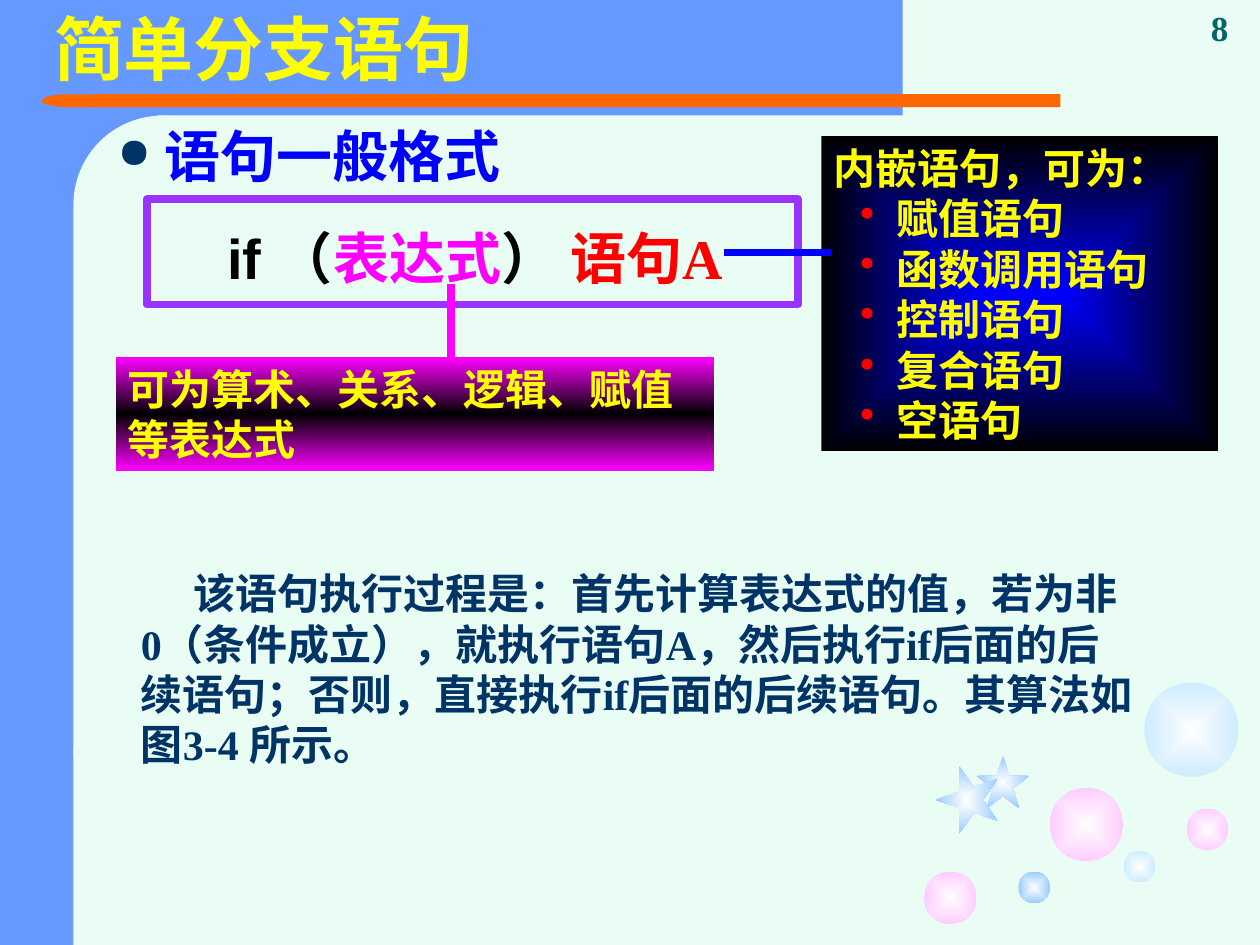
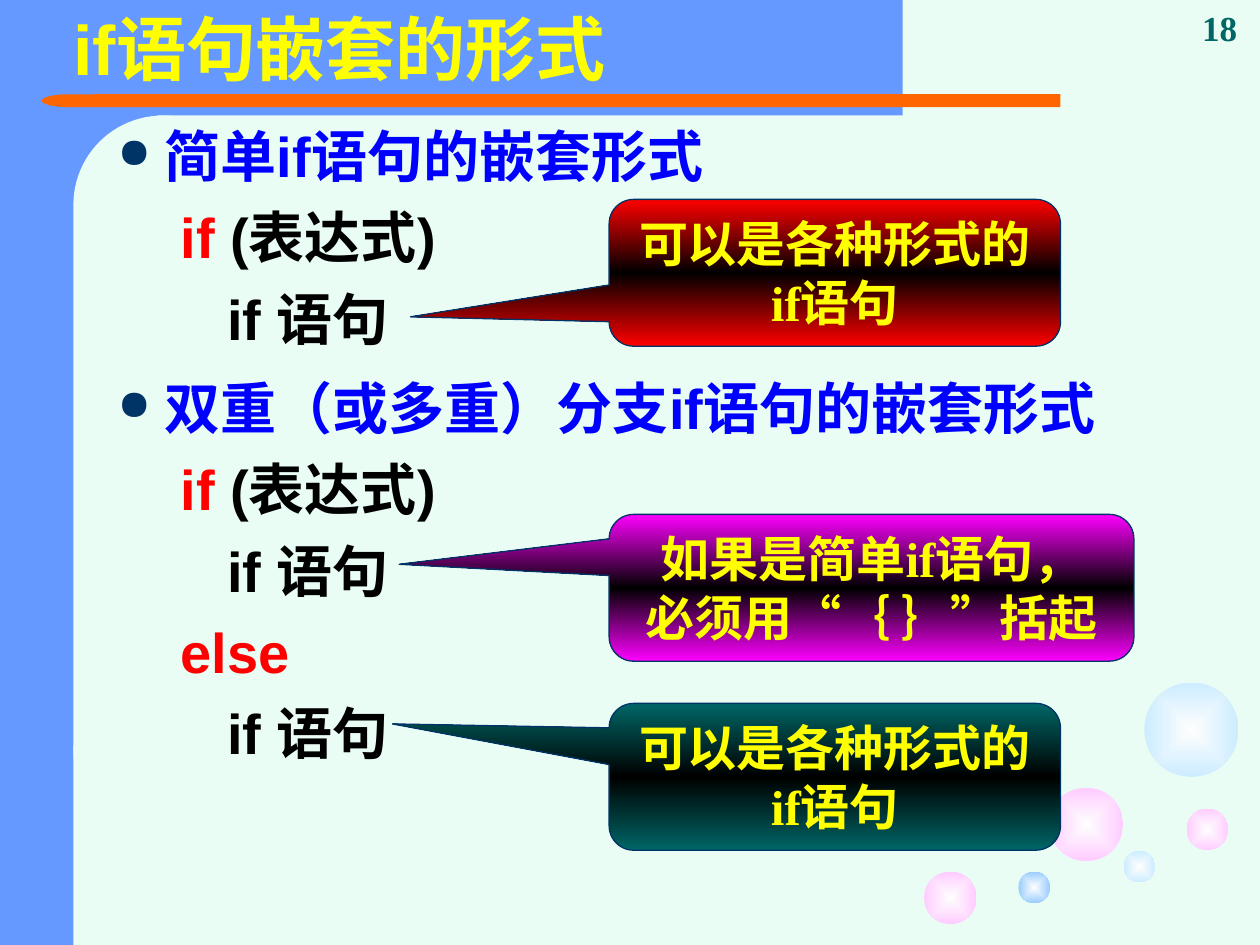
from dataclasses import dataclass

from pptx import Presentation
from pptx.dml.color import RGBColor
from pptx.enum.shapes import MSO_CONNECTOR, MSO_SHAPE as SHAPE
from pptx.enum.text import MSO_ANCHOR as ANCHOR, PP_ALIGN as ALIGN
from pptx.oxml import parse_xml
from pptx.oxml.ns import nsdecls, qn
from pptx.util import Cm, Pt


@dataclass(frozen=True)
class Theme:
    paper: str = "E9FDF4"
    band: str = "6699FF"
    rule: str = "FF6600"
    ink: str = "003366"
    teal: str = "006666"
    yellow: str = "FFFF00"
    blue: str = "0000FF"
    red: str = "FF0000"
    magenta: str = "FF00FF"
    purple: str = "9933FF"
    black: str = "000000"
    glow: str = "FEFEFE"
    pink: str = "FFCCFF"
    pale: str = "CCECFF"
    sky: str = "99CCFF"
    sans: str = "Arial"
    serif: str = "Times New Roman"
    title: int = 40
    body: int = 32
    callout: int = 28
    note: int = 24
    number: int = 20
    thick: float = 4.5
    thin: float = 0.75


T = Theme()

BUBBLES = [  # left, top, diameter, colour
    (21.16, 15.88, 1.48, T.pink),
    (18.63, 17.57, 1.06, T.pink),
    (22.65, 17.15, 0.64, T.pale),
    (23.92, 16.3, 0.84, T.pink),
    (23.07, 13.76, 1.9, T.pale),
    (20.53, 17.57, 0.64, T.sky),
]
STARS = [  # box, rotation
    ((19.69, 15.24, 1.06, 1.06), 0),
    ((18.8, 15.49, 1.37, 1.27), 270),
]


def rgb(color):
    return RGBColor.from_string(color)


def cm(box):
    return [Cm(v) for v in box]


def add_block(s, kind, box, fill=None, line=None, width=T.thin):
    sp = s.shapes.add_shape(kind, *cm(box))
    sp.shadow.inherit = False
    if fill:
        sp.fill.solid()
        sp.fill.fore_color.rgb = rgb(fill)
    else:
        sp.fill.background()
    if line:
        sp.line.color.rgb = rgb(line)
        sp.line.width = Pt(width)
    else:
        sp.line.fill.background()
    return sp


def set_gradient(sp, colors, radial=False):
    """Spread the colours evenly, from the centre outwards or from top to bottom."""
    step = 100000 // (len(colors) - 1)
    stops = "".join(
        f'<a:gs pos="{i * step}"><a:srgbClr val="{c}"/></a:gs>'
        for i, c in enumerate(colors))
    if radial:
        way = ('<a:path path="rect"><a:fillToRect l="50000" t="50000" '
               'r="50000" b="50000"/></a:path>')
    else:
        way = '<a:lin ang="5400000" scaled="1"/>'
    sp.fill.background()
    props = sp.element.spPr
    props.replace(props.find(qn("a:noFill")), parse_xml(
        f'<a:gradFill {nsdecls("a")} rotWithShape="1">'
        f'<a:gsLst>{stops}</a:gsLst>{way}</a:gradFill>'))


def add_link(s, start, end, color):
    line = s.shapes.add_connector(
        MSO_CONNECTOR.STRAIGHT, *cm(start), *cm(end))
    line.line.color.rgb = rgb(color)
    line.line.width = Pt(T.thick)
    line.element.spPr.append(parse_xml(f'<a:effectLst {nsdecls("a")}/>'))


def add_text_frame(s, box, anchor=ANCHOR.TOP):
    tf = s.shapes.add_textbox(*cm(box)).text_frame
    tf.word_wrap = True
    tf.vertical_anchor = anchor
    return tf


def next_paragraph(tf):
    first = tf.paragraphs[0]
    return tf.add_paragraph() if first.runs else first


def style_run(r, size, color, font):
    r.font.size = Pt(size)
    r.font.bold = True
    r.font.name = font
    r.font.color.rgb = rgb(color)


def write(tf, text, size, color, font=T.serif, align=ALIGN.LEFT):
    p = next_paragraph(tf)
    p.text = text
    p.alignment = align
    style_run(p.runs[0], size, color, font)
    return p


def set_indent(p, left, first=0):
    props = p._p.get_or_add_pPr()
    props.set("marL", str(Cm(left)))
    props.set("indent", str(Cm(first)))


def set_bullet(p, char, color, percent=100):
    props = p._p.get_or_add_pPr()
    for xml in (f'<a:buClr {nsdecls("a")}><a:srgbClr val="{color}"/></a:buClr>',
                f'<a:buSzPct {nsdecls("a")} val="{percent * 1000}"/>',
                f'<a:buChar {nsdecls("a")} char="{char}"/>'):
        props.append(parse_xml(xml))


def add_heading(tf, text):
    p = write(tf, text, T.body, T.blue, T.sans)
    p.space_before = Pt(8)
    set_indent(p, 0.95, -0.95)
    set_bullet(p, "●", T.ink, 75)


def add_code(tf, runs, nested=False, before=8, after=0):
    """Add a line of code from (text, colour[, font]) runs."""
    p = next_paragraph(tf)
    p.space_before, p.space_after = Pt(before), Pt(after)
    set_indent(p, 2.21 if nested else 1.27)
    for text, color, *font in runs:
        r = p.add_run()
        r.text = text
        style_run(r, T.body, color, *(font or [T.sans]))


def add_if_head(tf):
    add_code(tf, [("if ", T.red), ("(表达式)", T.black)])


def add_inner_if(tf):
    add_code(tf, [("if 语句", T.black)], nested=True)


def add_frame(s):
    add_block(s, SHAPE.RECTANGLE, (0, 0, 3.18, 19.05), T.band)
    add_block(s, SHAPE.RECTANGLE, (1.27, 0, 16.93, 2.33), T.band)
    corner = add_block(s, SHAPE.ROUNDED_RECTANGLE, (1.48, 2.33, 3.6, 14.6), T.paper)
    corner.adjustments[0] = 0.5
    add_block(s, SHAPE.RECTANGLE, (1.9, 1.9, 19.48, 0.26), T.rule)
    tip = add_block(s, SHAPE.FLOWCHART_DELAY, (0.84, 1.9, 1.09, 0.26), T.rule)
    tip.rotation = 180
    add_block(s, SHAPE.RECTANGLE, (1.48, 15.03, 3.6, 4.02), T.paper)


def add_bubbles(s):
    for x, y, d, color in BUBBLES:
        sp = add_block(s, SHAPE.OVAL, (x, y, d, d))
        set_gradient(sp, [T.glow, color], radial=True)
    for box, rotation in STARS:
        sp = add_block(s, SHAPE.STAR_5_POINT, box)
        sp.rotation = rotation
        set_gradient(sp, [T.glow, T.sky], radial=True)


def new_slide(prs, title, number, title_indent=0):
    s = prs.slides.add_slide(prs.slide_layouts[6])
    add_frame(s)
    add_bubbles(s)
    tf = add_text_frame(s, (0.84, 0, 21.38, 2.12), ANCHOR.MIDDLE)
    p = write(tf, title, T.title, T.yellow, T.sans)
    p.line_spacing = 0.9
    set_indent(p, title_indent)
    tf = add_text_frame(s, (23.77, 0, 1.63, 1.11), ANCHOR.BOTTOM)
    write(tf, str(number), T.number, T.teal, align=ALIGN.CENTER)
    return s


def add_panel(s, box):
    sp = add_block(s, SHAPE.RECTANGLE, box)
    tf = sp.text_frame
    tf.word_wrap = True
    tf.vertical_anchor = ANCHOR.TOP
    return sp, tf


def add_statement_note(s, box):
    x, y, _, _ = box
    sp, tf = add_panel(s, box)
    set_gradient(sp, [T.blue, T.black], radial=True)
    write(tf, "内嵌语句，可为：", T.note, T.yellow)
    for kind in ("赋值语句", "函数调用语句", "控制语句", "复合语句", "空语句"):
        p = write(tf, kind, T.note, T.yellow)
        set_indent(p, 1.27, -0.74)
        set_bullet(p, "•", T.red)
    add_link(s, (x - 1.96, y + 2.34), (x + 0.2, y + 2.34), T.blue)


def add_expression_note(s, box):
    x, y, w, _ = box
    sp, tf = add_panel(s, box)
    set_gradient(sp, [T.magenta, T.black, T.magenta])
    write(tf, "可为算术、关系、逻辑、赋值等表达式", T.note, T.yellow)
    link_x = x + 0.56 * w
    add_link(s, (link_x, y - 1.48), (link_x, y), T.magenta)


def add_callout(s, box, tip, color, lines):
    """Add a callout; tip is its point, as fractions of the box from its centre."""
    sp = add_block(s, SHAPE.ROUNDED_RECTANGULAR_CALLOUT, box, line=T.ink)
    for i, value in enumerate((*tip, 0.167)):
        sp.adjustments[i] = value
    set_gradient(sp, [color, T.black, color])
    tf = sp.text_frame
    tf.word_wrap = True
    tf.vertical_anchor = ANCHOR.MIDDLE
    for line in lines:
        write(tf, line, T.callout, T.yellow, align=ALIGN.CENTER)


def build_simple_branch(prs):
    s = new_slide(prs, "简单分支语句", 8)
    tf = add_text_frame(s, (2.12, 2.33, 22.23, 4.02))
    add_heading(tf, "语句一般格式")
    add_code(tf, [("if ", T.black), ("（", T.black, T.serif),
                  ("表达式", T.magenta, T.serif), ("） ", T.black, T.serif),
                  ("语句A", T.red, T.serif)], nested=True, before=20, after=12)
    add_block(s, SHAPE.RECTANGLE, (2.96, 4.02, 13.13, 2.12),
              line=T.purple, width=T.thick)
    tf = add_text_frame(s, (2.33, 11.32, 20.75, 6.67))
    p = write(tf, "该语句执行过程是：首先计算表达式的值，若为非0（条件成立），"
                  "就执行语句A，然后执行if后面的后续语句；否则，直接执行if后面的"
                  "后续语句。其算法如图3-4 所示。", T.note, T.ink)
    p.space_before = Pt(6)
    set_indent(p, 0.26, 1.06)
    add_statement_note(s, (16.56, 2.75, 8, 6.35))
    add_expression_note(s, (2.33, 7.2, 12.07, 2.29))


def build_nested_if(prs):
    s = new_slide(prs, "if语句嵌套的形式", 18, title_indent=0.39)
    tf = add_text_frame(s, (2.12, 7.41, 21.59, 11.11))
    add_heading(tf, "双重（或多重）分支if语句的嵌套形式")
    add_if_head(tf)
    add_inner_if(tf)
    add_code(tf, [("else", T.red)])
    add_inner_if(tf)
    tf = add_text_frame(s, (2.12, 2.33, 22.23, 14.18))
    add_heading(tf, "简单if语句的嵌套形式")
    add_if_head(tf)
    add_inner_if(tf)
    any_form = ["可以是各种形式的if语句"]
    braces = ["如果是简单if语句，", "必须用“｛ ｝”括起"]
    for top, width, tip, color, lines in (
            (4.02, 9.1, (-0.94, 0.3), T.red, any_form),
            (14.18, 9.1, (-0.98, -0.36), T.teal, any_form),
            (10.37, 10.58, (-0.9, -0.16), T.magenta, braces)):
        add_callout(s, (12.28, top, width, 2.96), tip, color, lines)


def main():
    prs = Presentation()
    prs.slide_width, prs.slide_height = Cm(25.4), Cm(19.05)
    paper = prs.slide_master.background.fill
    paper.solid()
    paper.fore_color.rgb = rgb(T.paper)
    build_simple_branch(prs)
    build_nested_if(prs)
    prs.save("out.pptx")


if __name__ == "__main__":
    main()
